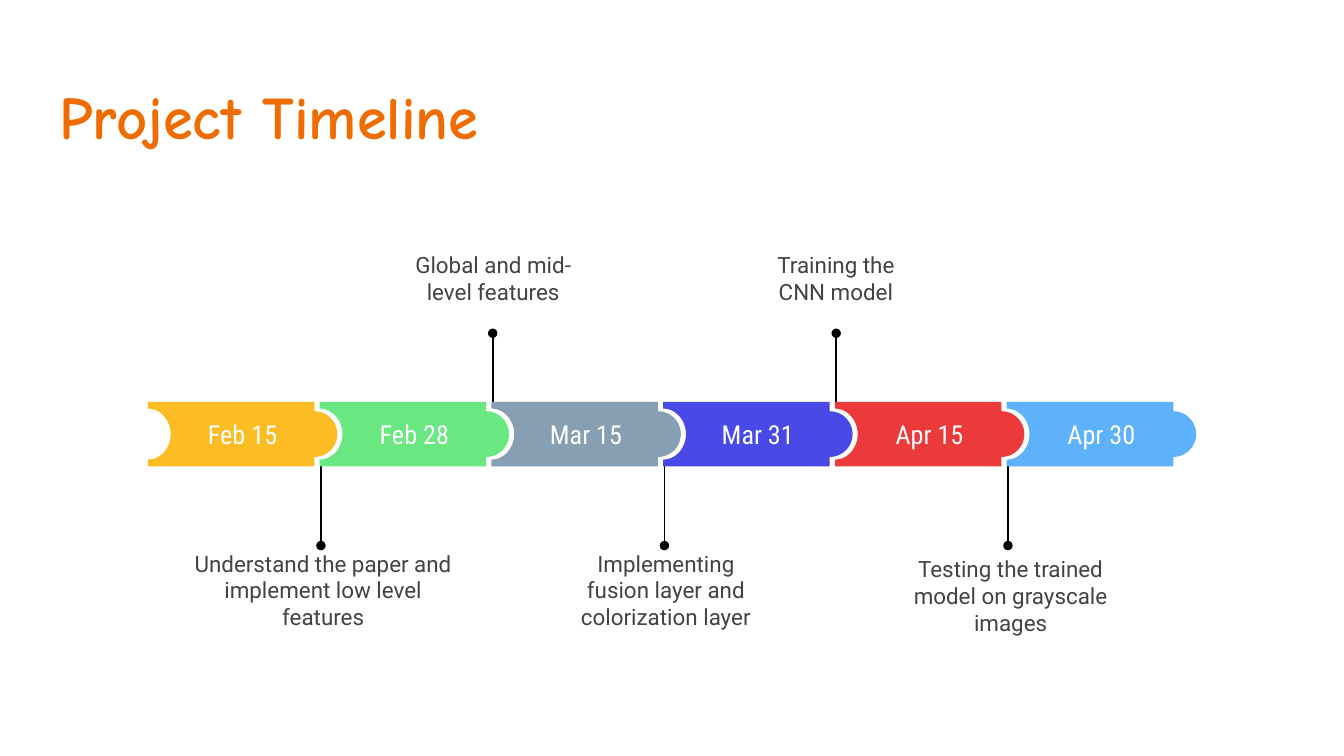
"""Build a project timeline slide with interlocking date segments and pinned captions."""
from math import cos, pi, sin

from pptx import Presentation
from pptx.dml.color import RGBColor
from pptx.enum.shapes import MSO_CONNECTOR, MSO_SHAPE
from pptx.enum.text import MSO_ANCHOR, MSO_AUTO_SIZE, PP_ALIGN
from pptx.oxml.ns import qn
from pptx.util import Inches, Pt
from lxml.etree import SubElement

TITLE = "Project Timeline"
SEGMENTS = [
    ("Feb 15", "yellow"),
    ("Feb 28", "green"),
    ("Mar 15", "slate"),
    ("Mar 31", "indigo"),
    ("Apr 15", "red"),
    ("Apr 30", "sky"),
]
CAPTIONS = [
    ("Understand the paper and implement low level features", (1.29, 4.1, 2.23, 0.58)),
    ("Global and mid-level features", (2.91, 1.78, 1.52, 0.58)),
    ("Implementing fusion layer and colorization layer", (4.2, 4.1, 1.51, 0.58)),
    ("Training the CNN model", (5.58, 1.78, 1.28, 0.58)),
    ("Testing the trained model on grayscale images", (6.52, 4.14, 2, 0.58)),
]
COLORS = {
    "title": "EF6C00", "caption": "434343", "date": "FFFFFF", "pin": "000000",
    "yellow": "FCBD24", "green": "69E781", "slate": "869FB2",
    "indigo": "4949E7", "red": "EC3A3B", "sky": "5EB2FC",
}
FONTS = {
    "title": {"name": "Comic Neue", "size": Pt(32.4), "bold": True},
    "caption": {"name": "Roboto", "size": Pt(12), "bold": False},
    "date": {"name": "Roboto Condensed", "size": Pt(14), "bold": False},
}
FRAME = {
    "word_wrap": True, "auto_size": MSO_AUTO_SIZE.NONE,
    **{f"margin_{side}": Inches(0.1) for side in ("left", "right", "top", "bottom")},
}

BAND_LEFT, LAST_LEFT, BAND_TOP, BAND_BOTTOM = 1.1, 7.49, 2.99, 3.47
BAND_MIDDLE = (BAND_TOP + BAND_BOTTOM) / 2
PITCH = (LAST_LEFT - BAND_LEFT) / (len(SEGMENTS) - 1)
BODY_WIDTH = 1.24
NOTCH, TAB = (0.17, 0.19), (0.17, 0.17)
PIN_ABOVE, PIN_BELOW, DOT = 2.48, 4.06, 0.07
ARC_STEPS = 24


def color(key):
    return RGBColor.from_string(COLORS[key])


def paint(shape, key):
    shape.fill.solid()
    shape.fill.fore_color.rgb = color(key)
    shape.line.fill.background()
    shape.shadow.inherit = False


def write(shape, text, role, align=PP_ALIGN.CENTER, anchor=MSO_ANCHOR.MIDDLE):
    frame = shape.text_frame
    for attribute, value in {**FRAME, "vertical_anchor": anchor}.items():
        setattr(frame, attribute, value)
    paragraph = frame.paragraphs[0]
    paragraph.alignment = align
    run = paragraph.add_run()
    run.text = text
    for attribute, value in FONTS[role].items():
        setattr(run.font, attribute, value)
    run.font.color.rgb = color(role)


def half_round(x, radii, direction):
    angles = [direction * (pi * step / ARC_STEPS - pi / 2) for step in range(ARC_STEPS + 1)]
    return [(x + radii[0] * cos(a), BAND_MIDDLE + radii[1] * sin(a)) for a in angles]


def add_segment(slide, left, date, key):
    right = left + BODY_WIDTH
    outline = [
        (left, BAND_TOP), (right, BAND_TOP), *half_round(right, TAB, 1),
        (right, BAND_BOTTOM), (left, BAND_BOTTOM), *half_round(left, NOTCH, -1),
    ]
    start, *rest = [(Inches(x), Inches(y)) for x, y in outline]
    builder = slide.shapes.build_freeform(*start)
    builder.add_line_segments(rest, close=True)
    segment = builder.convert_to_shape()
    paint(segment, key)
    write(segment, date, "date")


def add_pin(slide, x, band_edge, tip):
    stem = slide.shapes.add_connector(
        MSO_CONNECTOR.STRAIGHT, *map(Inches, (x, band_edge, x, tip)))
    stem.line.width = Pt(1)
    stem.line.color.rgb = color("pin")
    SubElement(stem.element.spPr, qn("a:effectLst"))
    dot = slide.shapes.add_shape(
        MSO_SHAPE.OVAL, *map(Inches, (x - DOT / 2, tip - DOT / 2, DOT, DOT)))
    paint(dot, "pin")


def main():
    deck = Presentation()
    deck.slide_width = Inches(10)
    deck.slide_height = deck.slide_width * 9 // 16
    slide = deck.slides.add_slide(deck.slide_layouts[5])

    heading = slide.shapes.title
    heading.left, heading.top, heading.width, heading.height = map(
        Inches, (0.34, 0.49, 9.32, 0.77))
    write(heading, TITLE, "title", PP_ALIGN.LEFT, MSO_ANCHOR.TOP)

    for index, (caption, box) in enumerate(CAPTIONS):
        above = index % 2 == 1
        ends = (BAND_TOP, PIN_ABOVE) if above else (BAND_BOTTOM, PIN_BELOW)
        add_pin(slide, BAND_LEFT + PITCH * (index + 1) + 0.01, *ends)
        write(slide.shapes.add_textbox(*map(Inches, box)), caption, "caption")

    for index, (date, key) in enumerate(SEGMENTS):
        add_segment(slide, BAND_LEFT + PITCH * index, date, key)

    deck.save("out.pptx")


if __name__ == "__main__":
    main()
